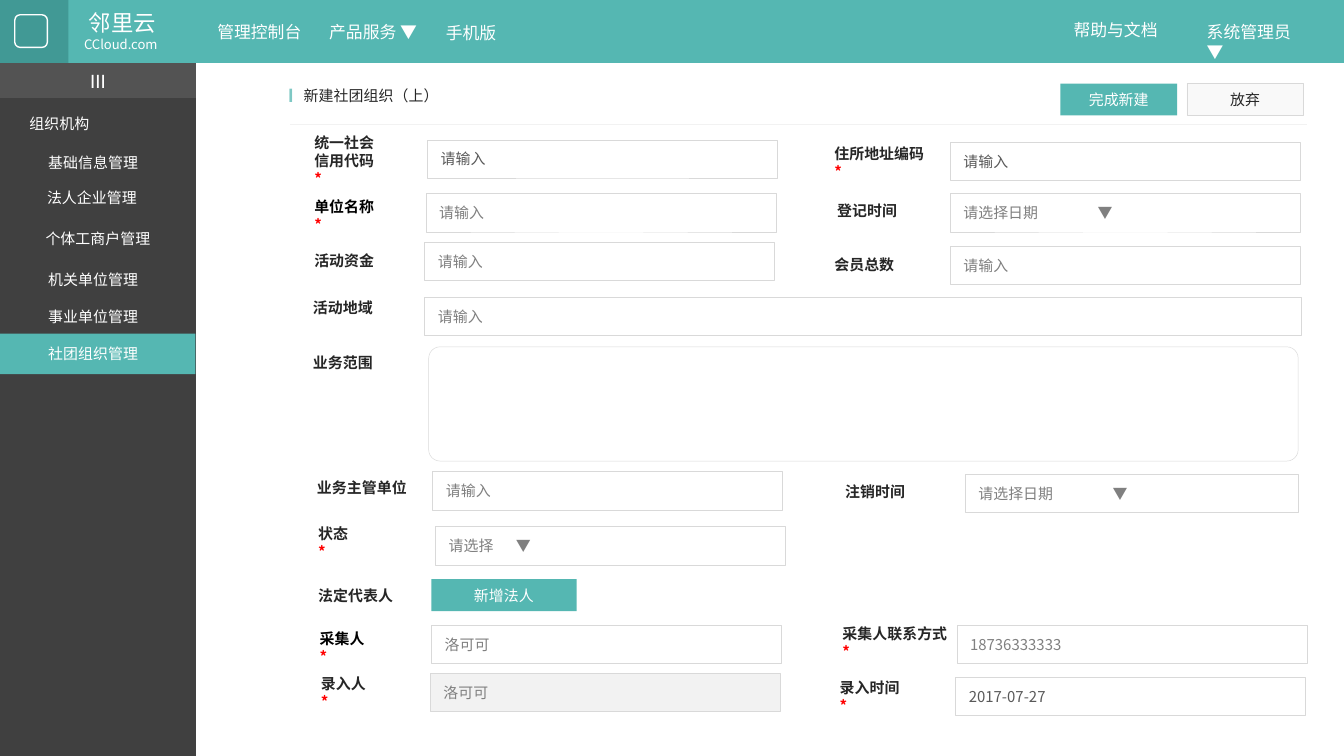
"""Build the form page for creating a community organisation."""
from lxml import etree
from pptx import Presentation
from pptx.dml.color import RGBColor
from pptx.enum.shapes import MSO_CONNECTOR, MSO_SHAPE
from pptx.enum.text import MSO_ANCHOR, MSO_AUTO_SIZE, PP_ALIGN
from pptx.oxml.ns import qn
from pptx.util import Pt

RECT, ROUNDED = MSO_SHAPE.RECTANGLE, MSO_SHAPE.ROUNDED_RECTANGLE
STRAIGHT = MSO_CONNECTOR.STRAIGHT
TOP, MIDDLE = MSO_ANCHOR.TOP, MSO_ANCHOR.MIDDLE
LEFT, CENTER = PP_ALIGN.LEFT, PP_ALIGN.CENTER
NO_FIT = MSO_AUTO_SIZE.NONE

CJK, LATIN = "Noto Sans CJK SC", "Calibri"
COLOURS = {
    "white": "FFFFFF", "black": "000000", "ink": "262626", "entered": "595959",
    "hint": "808080", "border": "D9D9D9", "pale": "F2F2F2", "button": "F9F9F9",
    "teal": "55B7B2", "deep": "419995", "mark": "7EC8C4", "sidebar": "404040",
    "red": "FF0000",
}
LINE_RATIO = 1.2
LABEL_SIZE, LABEL_HEIGHT = 8, 17.3
FIELD_WIDTH, FIELD_HEIGHT = 187.5, 20.5
ARROW_TAB = 128

TITLE = "新建社团组织（上）"
# text, left, top, width, size, alignment, tab
HEADER = [
    ("管理控制台", 102.2, 7.9, 73.4, 9, CENTER, None),
    ("产品服务 ▼", 166, 7.9, 67.7, 9, CENTER, None),
    ("手机版", 223.9, 8.6, 56.9, 9, CENTER, None),
    ("帮助与文档", 563.8, 7.2, 67.7, 9, CENTER, None),
    ("系统管理员\t▼", 639.4, 7.9, 79.2, 9, LEFT, 51),
    ("邻里云", 31.7, 1.4, 67.7, 12, CENTER, None),
    ("CCloud.com", 30.2, 15.8, 69.1, 7, CENTER, None),
]
# text, indent, top
MENU = [
    ("组织机构", 0, 58.3), ("基础信息管理", 10, 79.2),
    ("法人企业管理", 9.4, 97.9), ("个体工商户管理", 8.6, 120.2),
    ("机关单位管理", 10, 141.8), ("事业单位管理", 10, 162),
    ("社团组织管理", 10, 181.4),
]
# text, left, top, required, colour
LABELS = [
    ("统一社会\n信用代码", 161.3, 72.7, True, "ink"),
    ("单位名称", 161.3, 106.6, True, "black"),
    ("活动资金", 161.3, 131, False, "ink"),
    ("活动地域", 160.6, 156.2, False, "ink"),
    ("业务范围", 160.6, 185.8, False, "ink"),
    ("业务主管单位", 162.7, 252.7, False, "ink"),
    ("状态", 163.4, 282.2, True, "ink"),
    ("法定代表人", 163.4, 310.3, False, "ink"),
    ("采集人", 164.2, 338.4, True, "black"),
    ("录入人", 164.9, 362.2, True, "ink"),
    ("住所地址编码", 439.9, 78.5, True, "ink"),
    ("登记时间", 441.4, 104.4, False, "ink"),
    ("会员总数", 439.9, 133.2, False, "ink"),
    ("注销时间", 445.7, 254.9, False, "ink"),
    ("采集人联系方式", 444.2, 335.5, True, "ink"),
    ("录入时间", 442.8, 364.3, True, "ink"),
]
# text, left, top, width, colour, fill
FIELDS = [
    ("请输入", 229, 74.9, FIELD_WIDTH, "entered", None),
    ("请输入", 228.2, 103.7, FIELD_WIDTH, "hint", None),
    ("请输入", 227.5, 129.6, FIELD_WIDTH, "hint", None),
    ("请输入", 227.5, 159.1, 469.4, "hint", None),
    ("请输入", 231.8, 252.7, FIELD_WIDTH, "hint", None),
    ("请选择\t▼", 233.3, 282.2, FIELD_WIDTH, "hint", None),
    ("洛可可", 231.1, 334.8, FIELD_WIDTH, "hint", None),
    ("洛可可", 230.4, 360.7, FIELD_WIDTH, "hint", "pale"),
    ("请输入", 509, 76.3, FIELD_WIDTH, "entered", None),
    ("请选择日期\t▼", 509, 103.7, FIELD_WIDTH, "hint", None),
    ("请输入", 509, 131.8, FIELD_WIDTH, "hint", None),
    ("请选择日期\t▼", 517, 254.2, 178.6, "hint", None),
    ("18736333333", 512.6, 334.8, FIELD_WIDTH, "hint", None),
    ("2017-07-27", 511.9, 362.9, FIELD_WIDTH, "entered", None),
]
# text, left, top, width, fill, border, colour
BUTTONS = [
    ("完成新建", 568.1, 44.8, 62.6, "teal", None, "white"),
    ("放弃", 635.8, 44.6, 62.6, "button", "border", "ink"),
    ("新增法人", 231.1, 310.3, 77.8, "teal", None, "white"),
]


def rgb(name):
    return RGBColor.from_string(COLOURS[name])


def style(font, size, colour, bold, face):
    font.size, font.bold, font.name = Pt(size), bold, face
    font.color.rgb = rgb(colour)


def write(holder, text, size=8, colour="ink", bold=False, face=CJK, align=LEFT,
          anchor=MIDDLE, margins=(7.2, 3.6), tab=None, required=False,
          indents=None, gaps=None):
    frame = holder.text_frame
    frame.auto_size, frame.word_wrap, frame.vertical_anchor = NO_FIT, True, anchor
    frame.margin_left = frame.margin_right = Pt(margins[0])
    frame.margin_top = frame.margin_bottom = Pt(margins[1])
    lines = text.split("\n")
    for index, line in enumerate(lines):
        paragraph = frame.paragraphs[0] if index == 0 else frame.add_paragraph()
        properties = paragraph._p.get_or_add_pPr()
        properties.set("marL", str(Pt(indents[index]) if indents else 0))
        properties.set("indent", "0")
        etree.SubElement(properties, qn("a:buNone"))
        if tab:
            stops = etree.SubElement(properties, qn("a:tabLst"))
            etree.SubElement(stops, qn("a:tab"), pos=str(Pt(tab)), algn="l")
        paragraph.alignment = align
        paragraph.line_spacing = Pt(size * LINE_RATIO)
        paragraph.space_before = Pt(gaps[index] if gaps else 0)
        paragraph.space_after = Pt(0)
        runs = [(part, colour) for part in line.partition("▼")[:2] if part]
        if required and index == len(lines) - 1:
            runs.append(("*", "red"))
        for part, part_colour in runs:
            if part == "*":
                paragraph.add_line_break()
            run = paragraph.add_run()
            run.text = part
            style(run.font, size, part_colour, bold or part == "▼", face)
            etree.SubElement(run._r.get_or_add_rPr(), qn("a:ea"), typeface=face)


def place(holder, left, top, width, height):
    holder.left, holder.top = Pt(left), Pt(top)
    holder.width, holder.height = Pt(width), Pt(height)


def add_box(shapes, left, top, width, height, fill=None, border=None,
            weight=0.25, kind=RECT):
    box = shapes.add_shape(kind, Pt(left), Pt(top), Pt(width), Pt(height))
    box.shadow.inherit = False
    if fill:
        box.fill.solid()
        box.fill.fore_color.rgb = rgb(fill)
    else:
        box.fill.background()
    if border:
        box.line.color.rgb = rgb(border)
        box.line.width = Pt(weight)
    else:
        box.line.fill.background()
    return box


def add_label(shapes, text, left, top, width, height, **options):
    label = shapes.add_textbox(Pt(left), Pt(top), Pt(width), Pt(height))
    write(label, text, **options)


def main():
    deck = Presentation()
    deck.slide_width, deck.slide_height = Pt(720), Pt(405)
    slide = deck.slides.add_slide(deck.slide_layouts[1])
    shapes = slide.shapes
    title, menu = slide.placeholders

    add_box(shapes, 0, 33, 105, 372, fill="sidebar")
    toggle = add_box(shapes, 0, 33.8, 105, 18.7, fill="white")
    tint = toggle.fill._xPr.find(".//" + qn("a:srgbClr"))
    etree.SubElement(tint, qn("a:alpha"), val="10000")
    write(toggle, "III", size=11, colour="white", face=LATIN, align=CENTER)
    add_box(shapes, 0, 0, 720, 33.8, fill="teal")
    add_box(shapes, 0, 0, 36.7, 33.8, fill="deep")
    add_box(shapes, 7.9, 7.9, 17.5, 17.5, border="white", weight=0.75, kind=ROUNDED)
    for text, left, top, width, size, align, tab in HEADER:
        add_label(shapes, text, left, top, width, size * LINE_RATIO + 7.2, size=size,
                  colour="white", align=align, anchor=TOP, tab=tab)

    place(title, 155.5, 42.5, 136, 17.3)
    write(title, TITLE, anchor=TOP)
    shapes.element.append(title.element)
    add_label(shapes, "I", 144.7, 41, 22.3, 19.4, size=11, colour="mark", bold=True,
              face=LATIN, align=CENTER)
    rule = shapes.add_connector(STRAIGHT, Pt(155.5), Pt(66.5), Pt(700), Pt(66.5))
    rule.line.color.rgb, rule.line.width = rgb("pale"), Pt(0.25)
    etree.SubElement(rule._element.spPr, qn("a:effectLst"))

    for text, left, top, required, colour in LABELS:
        rows = text.split("\n")
        width = max(map(len, rows)) * LABEL_SIZE + 18
        height = LABEL_HEIGHT + (len(rows) - 1) * LABEL_SIZE * LINE_RATIO
        add_label(shapes, text, left, top, width, height, size=LABEL_SIZE,
                  colour=colour, bold=True, required=required)
    for text, left, top, width, colour, fill in FIELDS:
        field = add_box(shapes, left, top, width, FIELD_HEIGHT, fill, "border")
        write(field, text, colour=colour, tab=ARROW_TAB if "\t" in text else None)
    scope = add_box(shapes, 229.7, 185.8, 465.8, 61.2, border="border", kind=ROUNDED)
    scope.adjustments[0] = 0.1
    for text, left, top, width, fill, border, colour in BUTTONS:
        button = add_box(shapes, left, top, width, 17.1, fill, border)
        write(button, text, colour=colour, align=CENTER)

    add_box(shapes, 0, 178.8, 104.7, 21.7, fill="teal")
    names, indents, tops = zip(*MENU)
    gaps = [0] + [low - high - 8 * LINE_RATIO for high, low in zip(tops, tops[1:])]
    place(menu, 10.8, tops[0], 93.6, tops[-1] - tops[0] + 15.1)
    write(menu, "\n".join(names), colour="white", anchor=TOP, margins=(5, 2.9),
          indents=indents, gaps=gaps)
    shapes.element.append(menu.element)
    deck.save("out.pptx")


if __name__ == "__main__":
    main()
